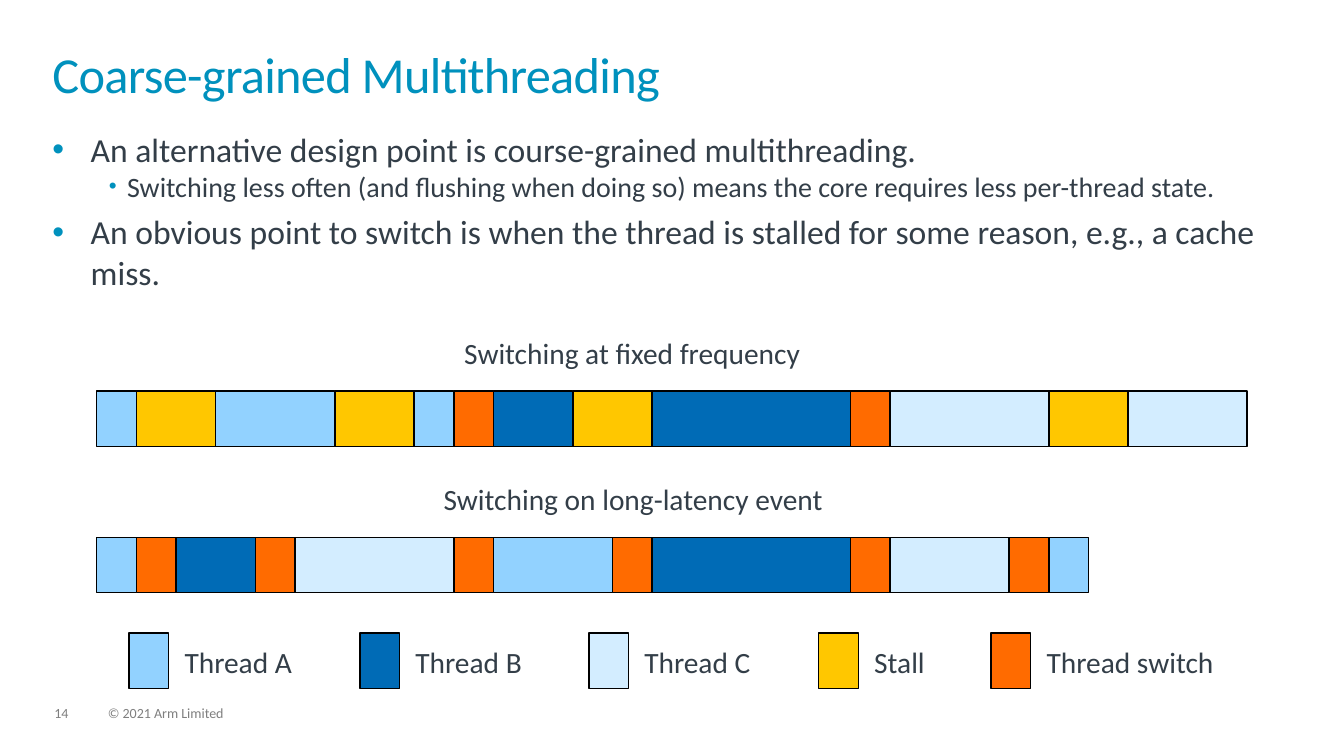
from lxml import etree
from pptx import Presentation
from pptx.dml.color import RGBColor
from pptx.enum.shapes import MSO_SHAPE
from pptx.enum.text import PP_ALIGN
from pptx.oxml.ns import qn
from pptx.util import Inches, Pt

RECT = MSO_SHAPE.RECTANGLE
LEFT, CENTER = PP_ALIGN.LEFT, PP_ALIGN.CENTER
FONT = "Calibri"
TEAL, INK, GREY, BLACK = "0091BD", "333E48", "7F7F7F", "000000"
THREAD_COLORS = {"A": "92D2FF", "B": "006BB6", "C": "D3EDFF", "stall": "FFC700", "switch": "FF6B00"}
TIMELINE_LEFT, CYCLE, BAR_HEIGHT = 0.96, 11.41 / 29, 0.55


def color(hex_code):
    """Turn a hex string into a colour."""
    return RGBColor.from_string(hex_code)


def write(paragraph, text, size=21, ink=INK, align=LEFT, line=0.9, before=0, after=6, tracking=None):
    """Put formatted text into a paragraph."""
    run = paragraph.add_run()
    run.text = text
    run.font.name, run.font.size = FONT, Pt(size)
    run.font.color.rgb = color(ink)
    if tracking is not None:
        run._r.get_or_add_rPr().set("spc", str(tracking))
    paragraph.alignment, paragraph.line_spacing = align, line
    paragraph.space_before, paragraph.space_after = Pt(before), Pt(after)


class MultithreadingSlide:
    """Hold the slide and draw its elements in one style."""

    def __init__(self, slide):
        """Start drawing straight on the slide."""
        self.slide = slide
        self.shapes = slide.shapes

    def start_group(self):
        """Send the following elements to a new group."""
        self.shapes = self.slide.shapes.add_group_shape().shapes

    def frame(self, left, top, width, height, wrap=True):
        """Add a text box without margins and return its frame."""
        box = self.shapes.add_textbox(Inches(left), Inches(top), Inches(width), Inches(height))
        frame = box.text_frame
        frame.word_wrap = wrap
        frame.margin_left = frame.margin_right = frame.margin_top = frame.margin_bottom = 0
        return frame

    def label(self, text, left, top, width, height=0.32, wrap=False, **style):
        """Add a text box with one paragraph."""
        write(self.frame(left, top, width, height, wrap).paragraphs[0], text, **style)

    def bullet_list(self, left, top, width, height, items):
        """Add a list of (level, text) bullets."""
        frame = self.frame(left, top, width, height)
        for index, (level, text) in enumerate(items):
            paragraph = frame.add_paragraph() if index else frame.paragraphs[0]
            margin, indent, bullet_size, size, before = [
                (0.38, -0.38, 100, 24, 6), (0.74, -0.18, 80, 20, 0)][level]
            paragraph.level = level
            properties = paragraph._p.get_or_add_pPr()
            properties.set("marL", str(Inches(margin)))
            properties.set("indent", str(Inches(indent)))
            bullet_color = etree.SubElement(properties, qn("a:buClr"))
            etree.SubElement(bullet_color, qn("a:srgbClr"), val=TEAL)
            etree.SubElement(properties, qn("a:buSzPct"), val=str(bullet_size * 1000))
            etree.SubElement(properties, qn("a:buFont"), typeface="Arial")
            etree.SubElement(properties, qn("a:buChar"), char="•")
            write(paragraph, text, size=size, line=1.0, before=before if index else 0, after=0)

    def block(self, left, top, cycles, state):
        """Add a block as wide as its number of cycles."""
        block = self.shapes.add_shape(
            RECT, Inches(left), Inches(top), Inches(cycles * CYCLE), Inches(BAR_HEIGHT))
        block.shadow.inherit = False
        block.fill.solid()
        block.fill.fore_color.rgb = color(THREAD_COLORS[state])
        block.line.color.rgb = color(BLACK)
        block.line.width = Pt(1)

    def timeline(self, caption, caption_left, caption_width, top, runs):
        """Add a captioned row of consecutive blocks."""
        self.start_group()
        elapsed = 0
        for state, cycles in runs:
            self.block(TIMELINE_LEFT + elapsed * CYCLE, top, cycles, state)
            elapsed += cycles
        self.label(caption, caption_left, top - 0.52, caption_width, align=CENTER)

    def legend(self, top, entries):
        """Add the colour key."""
        self.start_group()
        for state, name, left, width in entries:
            self.block(left, top, 1, state)
            self.label(name, left + 0.55, top + 0.15, width)


def main():
    """Build and save the slide."""
    deck = Presentation()
    deck.slide_width, deck.slide_height = Inches(13.33), Inches(7.5)
    page = MultithreadingSlide(deck.slides.add_slide(deck.slide_layouts[6]))

    page.label("14", 0.54, 7.01, 0.34, 0.15, wrap=True, size=10, ink=GREY)
    page.label("© 2021 Arm Limited", 1.07, 7.01, 5.07, 0.15, wrap=True, size=10, ink=GREY)
    page.label("Coarse-grained Multithreading", 0.52, 0.52, 12.28, 0.72, wrap=True,
               size=36, ink=TEAL, line=0.85, after=0, tracking=-50)
    page.bullet_list(0.52, 1.28, 12.28, 5.41, [
        (0, "An alternative design point is course-grained multithreading."),
        (1, "Switching less often (and flushing when doing so) means the core requires "
            "less per-thread state."),
        (0, "An obvious point to switch is when the thread is stalled for some reason, "
            "e.g., a cache miss."),
    ])
    page.timeline("Switching at fixed frequency", 4.59, 3.36, 3.88, [
        ("A", 1), ("stall", 2), ("A", 3), ("stall", 2), ("A", 1), ("switch", 1),
        ("B", 2), ("stall", 2), ("B", 5), ("switch", 1),
        ("C", 4), ("stall", 2), ("C", 3),
    ])
    page.timeline("Switching on long-latency event", 4.38, 3.8, 5.33, [
        ("A", 1), ("switch", 1), ("B", 2), ("switch", 1), ("C", 4), ("switch", 1),
        ("A", 3), ("switch", 1), ("B", 5), ("switch", 1), ("C", 3), ("switch", 1), ("A", 1),
    ])
    page.legend(6.28, [
        ("A", "Thread A", 1.28, 1.08),
        ("B", "Thread B", 3.57, 1.07),
        ("C", "Thread C", 5.84, 1.06),
        ("stall", "Stall", 8.12, 0.51),
        ("switch", "Thread switch", 9.83, 1.67),
    ])
    deck.save("out.pptx")


if __name__ == "__main__":
    main()
